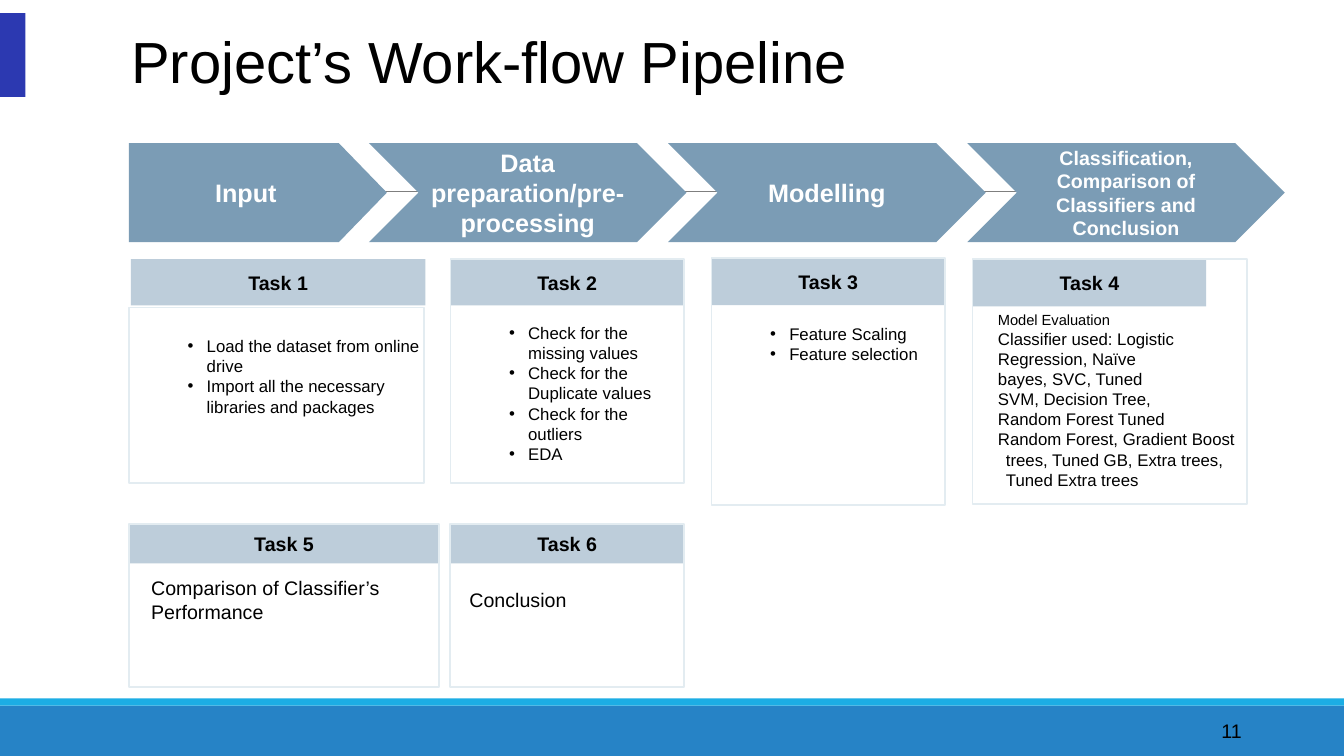
from dataclasses import dataclass
from typing import Optional

from lxml.etree import SubElement
from pptx import Presentation
from pptx.dml.color import RGBColor
from pptx.enum.shapes import MSO_CONNECTOR, MSO_SHAPE
from pptx.enum.text import MSO_ANCHOR, MSO_AUTO_SIZE, PP_ALIGN
from pptx.oxml.ns import qn
from pptx.util import Cm, Pt


@dataclass(frozen=True)
class Theme:
    font: str = "Arial"
    ink: str = "000000"
    white: str = "FFFFFF"
    footer: str = "2683C6"
    strip: str = "1CADE4"
    accent: str = "2C39B1"
    rule: str = "7F7F7F"
    stage: str = "7B9CB5"
    header: str = "BDCDDA"
    frame: str = "E3ECF1"
    title_size: float = 41.4
    stage_size: float = 18
    head_size: float = 14
    list_size: float = 12
    small_size: float = 10.5


@dataclass(frozen=True)
class Box:
    left: float
    top: float
    width: float
    height: float

    def emu(self) -> tuple:
        return Cm(self.left), Cm(self.top), Cm(self.width), Cm(self.height)


@dataclass(frozen=True)
class Stage:
    text: str
    box: Box
    kind: MSO_SHAPE
    size: float


@dataclass(frozen=True)
class Task:
    name: str
    head: Box
    frame: Box
    lines: tuple = ()
    inset: float = 0
    bullets: bool = True
    first_size: Optional[float] = None
    note: str = ""
    note_box: Optional[Box] = None


TH = Theme()
STAGE_TOP, STAGE_HEIGHT, STAGE_PITCH = 3.61, 2.49, 7.54
STAGES = [Stage("Input", Box(3.25, STAGE_TOP, 6.5, STAGE_HEIGHT), MSO_SHAPE.PENTAGON, TH.stage_size)] + [
    Stage(text, Box(9.3 + i * STAGE_PITCH, STAGE_TOP, 8, STAGE_HEIGHT), MSO_SHAPE.CHEVRON, size)
    for i, (text, size) in enumerate([
        ("Data preparation/pre-processing", TH.stage_size),
        ("Modelling", TH.stage_size),
        ("Classification, Comparison of Classifiers and Conclusion", TH.head_size),
    ])
]
TASKS = [
    Task("Task 1", Box(3.3, 6.53, 7.42, 1.17), Box(3.25, 7.75, 7.44, 4.42),
         ("Load the dataset from online drive",
          "Import all the necessary libraries and packages"), 0.71),
    Task("Task 2", Box(11.35, 6.53, 5.89, 1.17), Box(11.35, 6.53, 5.89, 5.64),
         ("Check for the missing values", "Check for the Duplicate values",
          "Check for the outliers", "EDA"), 1.6),
    Task("Task 3", Box(17.93, 6.5, 5.89, 1.19), Box(17.93, 6.5, 5.89, 6.22),
         ("Feature Scaling", "Feature selection"), 1.65),
    Task("Task 4", Box(24.51, 6.53, 5.89, 1.19), Box(24.51, 6.53, 6.91, 6.17),
         ("Model Evaluation", "Classifier used: Logistic", "Regression, Naïve",
          "bayes, SVC, Tuned", "SVM, Decision Tree,", "Random Forest Tuned",
          "Random Forest, Gradient Boost trees, Tuned GB, Extra trees, Tuned Extra trees"),
         1.3, bullets=False, first_size=TH.small_size),
    Task("Task 5", Box(3.25, 13.21, 7.82, 0.99), Box(3.25, 13.21, 7.82, 4.11),
         note="Comparison of Classifier’s Performance", note_box=Box(3.56, 14.4, 7.14, 1.45)),
    Task("Task 6", Box(11.35, 13.21, 5.89, 0.99), Box(11.35, 13.21, 5.89, 4.11),
         note="Conclusion", note_box=Box(11.58, 14.68, 5.36, 0.86)),
]


def write(p, text: str, *, size: float, color: str = TH.ink, bold: bool = False,
          align=PP_ALIGN.LEFT) -> None:
    p.alignment = align
    p.space_before = Pt(0)
    r = p.add_run()
    r.text = text
    r.font.name = TH.font
    r.font.size = Pt(size)
    r.font.bold = bold
    r.font.color.rgb = RGBColor.from_string(color)


def indent(p, bullets: bool) -> None:
    pPr = p._p.get_or_add_pPr()
    left, hanging = (1.96, -0.48) if bullets else (0.84, -0.2)
    pPr.set("marL", str(Cm(left)))
    pPr.set("indent", str(Cm(hanging)))
    if bullets:
        SubElement(pPr, qn("a:buFont")).set("typeface", TH.font)
        SubElement(pPr, qn("a:buChar")).set("char", "•")
    else:
        SubElement(pPr, qn("a:buNone"))


def place(sp, box: Box) -> None:
    sp.left, sp.top, sp.width, sp.height = box.emu()


def outline(sp) -> None:
    sp.fill.background()
    sp.line.color.rgb = RGBColor.from_string(TH.frame)
    sp.line.width = Pt(1.25)


def add_block(s, box: Box, fill: Optional[str] = None, kind=MSO_SHAPE.RECTANGLE):
    sp = s.shapes.add_shape(kind, *box.emu())
    sp.shadow.inherit = False
    if fill:
        sp.fill.solid()
        sp.fill.fore_color.rgb = RGBColor.from_string(fill)
        sp.line.fill.background()
    else:
        outline(sp)
    return sp


def add_label(s, box: Box, text: str, size: float, anchor=MSO_ANCHOR.TOP) -> None:
    tf = s.shapes.add_textbox(*box.emu()).text_frame
    tf.word_wrap = True
    tf.vertical_anchor = anchor
    write(tf.paragraphs[0], text, size=size)


def add_stage(s, stage: Stage) -> None:
    sp = add_block(s, stage.box, TH.stage, stage.kind)
    sp.adjustments[0] = 0.485 if stage.kind == MSO_SHAPE.PENTAGON else 0.5
    tf = sp.text_frame
    tf.vertical_anchor = MSO_ANCHOR.MIDDLE
    write(tf.paragraphs[0], stage.text, size=stage.size, color=TH.white, bold=True,
          align=PP_ALIGN.CENTER)


def fill_list(sp, task: Task) -> None:
    place(sp, task.frame)
    outline(sp)
    tf = sp.text_frame
    tf.word_wrap = True
    tf.auto_size = MSO_AUTO_SIZE.NONE
    tf.vertical_anchor = MSO_ANCHOR.TOP
    tf.margin_left = tf.margin_right = tf.margin_bottom = 0
    tf.margin_top = Cm(task.inset)
    for i, line in enumerate(task.lines):
        p = tf.add_paragraph() if i else tf.paragraphs[0]
        indent(p, task.bullets)
        size = task.first_size if i == 0 and task.first_size else TH.list_size
        write(p, line, size=size)


def add_task(s, task: Task, bodies) -> None:
    head = add_block(s, task.head, TH.header)
    head.text_frame.vertical_anchor = MSO_ANCHOR.MIDDLE
    write(head.text_frame.paragraphs[0], task.name, size=TH.head_size, bold=True,
          align=PP_ALIGN.CENTER)
    if task.lines:
        sp = next(bodies)
        s.shapes._spTree.append(sp._element)
        fill_list(sp, task)
    else:
        add_block(s, task.frame)
        add_label(s, task.note_box, task.note, TH.head_size)


def add_title(s, text: str) -> None:
    sp = s.shapes.title
    place(sp, Box(3.05, 0.58, 27.94, 1.98))
    tf = sp.text_frame
    tf.auto_size = MSO_AUTO_SIZE.NONE
    tf.vertical_anchor = MSO_ANCHOR.BOTTOM
    tf.paragraphs[0].line_spacing = 0.9
    write(tf.paragraphs[0], text, size=TH.title_size)


def add_rule(s) -> None:
    line = s.shapes.add_connector(MSO_CONNECTOR.STRAIGHT, Cm(3.33), Cm(4.83), Cm(31.01), Cm(4.83))
    line.line.color.rgb = RGBColor.from_string(TH.rule)
    line.line.width = Pt(0.75)
    SubElement(line._element.spPr, qn("a:effectLst"))


def main() -> None:
    prs = Presentation()
    prs.slide_width, prs.slide_height = Cm(33.87), Cm(19.05)
    s = prs.slides.add_slide(prs.slide_layouts.get_by_name("Comparison"))
    bodies = iter([sp for sp in s.placeholders if sp.placeholder_format.idx > 0])
    add_block(s, Box(0, 17.78, 33.87, 1.27), TH.footer)
    add_block(s, Box(0, 17.6, 33.87, 0.18), TH.strip)
    add_rule(s)
    add_block(s, Box(0, 0.33, 0.64, 2.11), TH.accent)
    add_title(s, "Project’s Work-flow Pipeline")
    add_label(s, Box(30.53, 17.91, 2.16, 1.02), "11", TH.head_size, MSO_ANCHOR.MIDDLE)
    for stage in STAGES:
        add_stage(s, stage)
    for task in TASKS:
        add_task(s, task, bodies)
    prs.save("out.pptx")


if __name__ == "__main__":
    main()
